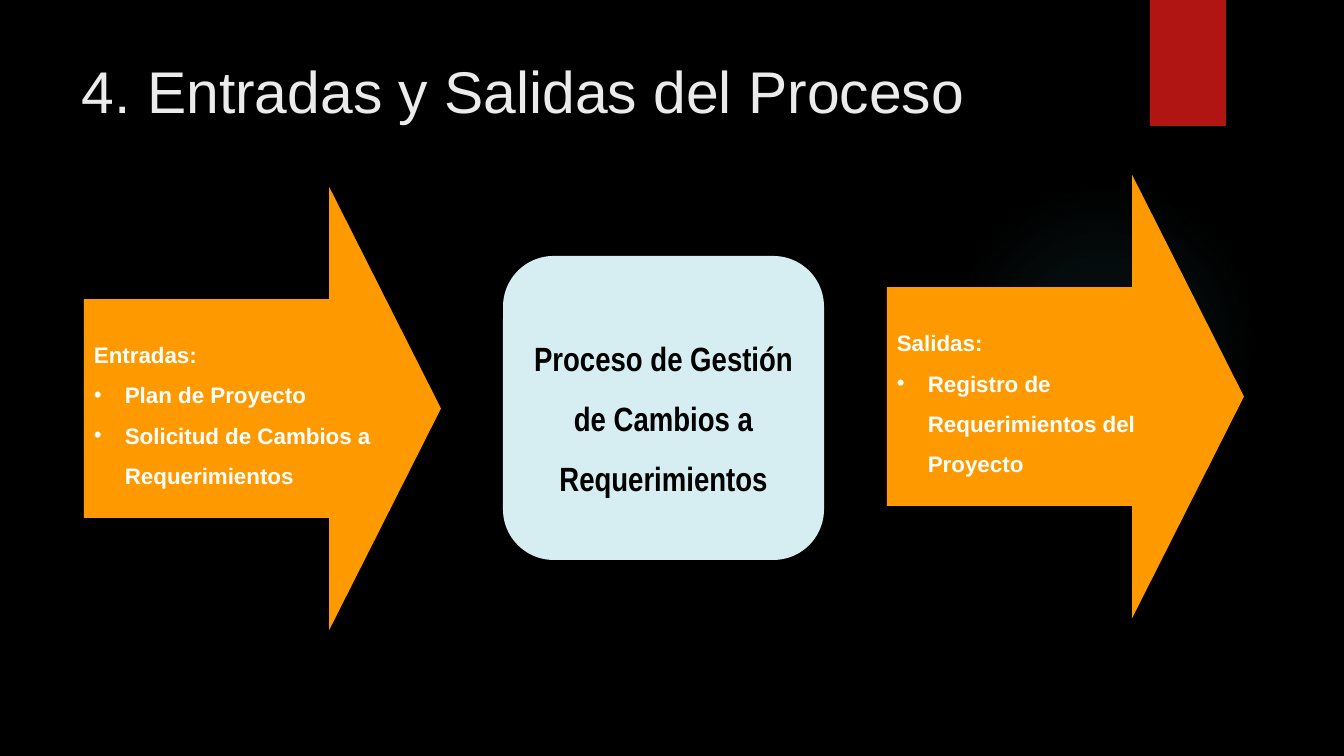
from dataclasses import dataclass

from lxml.etree import SubElement
from pptx import Presentation
from pptx.dml.color import RGBColor
from pptx.enum.shapes import MSO_SHAPE
from pptx.enum.text import MSO_ANCHOR, PP_ALIGN
from pptx.oxml import parse_xml
from pptx.oxml.ns import nsdecls, qn
from pptx.shapes.autoshape import Shape
from pptx.slide import Slide
from pptx.text.text import _Paragraph
from pptx.util import Emu, Pt

BLACK = RGBColor(0x00, 0x00, 0x00)
WHITE = RGBColor(0xFF, 0xFF, 0xFF)
TITLE_GRAY = RGBColor(0xEB, 0xEB, 0xEB)
RED = RGBColor(0xB0, 0x15, 0x13)
ORANGE = RGBColor(0xFF, 0x99, 0x00)
PALE_BLUE = RGBColor(0xD6, 0xEE, 0xF2)
GLOW = RGBColor(0x50, 0xB9, 0xC1)

GLOW_STOPS = ((0, 7), (36, 6), (69, 0))
BULLET_INDENT = 31


@dataclass(frozen=True)
class Box:
    left: int
    top: int
    width: int
    height: int


@dataclass(frozen=True)
class FlowArrow:
    box: Box
    heading: str
    items: tuple[str, ...]


ARROWS = (
    FlowArrow(Box(84, 187, 357, 443), "Entradas:",
              ("Plan de Proyecto", "Solicitud de Cambios a Requerimientos")),
    FlowArrow(Box(887, 175, 357, 443), "Salidas:",
              ("Registro de Requerimientos del Proyecto",)),
)


def px(n: int) -> Emu:
    return Emu(round(n * 914400 / 100.8))


def place(box: Box) -> tuple[Emu, Emu, Emu, Emu]:
    return px(box.left), px(box.top), px(box.width), px(box.height)


def add_block(s: Slide, kind: MSO_SHAPE, box: Box, color: RGBColor) -> Shape:
    sp = s.shapes.add_shape(kind, *place(box))
    sp.shadow.inherit = False
    sp.fill.solid()
    sp.fill.fore_color.rgb = color
    sp.line.fill.background()
    sp.text_frame.word_wrap = True
    sp.text_frame.vertical_anchor = MSO_ANCHOR.MIDDLE
    return sp


def format_text(p: _Paragraph, size: int, color: RGBColor, name: str = "Arial",
                bold: bool = False, align: PP_ALIGN = PP_ALIGN.LEFT,
                spacing: float = 1.0) -> None:
    p.alignment = align
    p.line_spacing = spacing
    for r in p.runs:
        r.font.name = name
        r.font.size = Pt(size)
        r.font.bold = bold
        r.font.color.rgb = color


def add_bullet(p: _Paragraph) -> None:
    pPr = p._p.get_or_add_pPr()
    pPr.set("marL", str(px(BULLET_INDENT)))
    pPr.set("indent", str(-px(BULLET_INDENT)))
    SubElement(pPr, qn("a:buFont"), typeface="Arial")
    SubElement(pPr, qn("a:buChar"), char="•")


def add_glow(s: Slide, box: Box) -> None:
    sp = add_block(s, MSO_SHAPE.OVAL, box, GLOW)
    stops = "".join(
        f'<a:gs pos="{pos * 1000}"><a:srgbClr val="{GLOW}">'
        f'<a:alpha val="{alpha * 1000}"/></a:srgbClr></a:gs>'
        for pos, alpha in GLOW_STOPS)
    grad = parse_xml(
        f'<a:gradFill {nsdecls("a")}><a:gsLst>{stops}</a:gsLst><a:path path="circle">'
        '<a:fillToRect l="50000" t="50000" r="50000" b="50000"/></a:path></a:gradFill>')
    spPr = sp.element.spPr
    spPr.replace(spPr.find(qn("a:solidFill")), grad)


def add_title(s: Slide, box: Box, text: str) -> None:
    tf = s.shapes.add_textbox(*place(box)).text_frame
    tf.word_wrap = True
    tf.text = text
    format_text(tf.paragraphs[0], 42, TITLE_GRAY)


def add_arrow(s: Slide, arrow: FlowArrow) -> None:
    sp = add_block(s, MSO_SHAPE.RIGHT_ARROW, arrow.box, ORANGE)
    sp.adjustments[0] = 0.494
    sp.adjustments[1] = 0.313
    tf = sp.text_frame
    tf.text = "\n".join((arrow.heading, *arrow.items))
    for p in tf.paragraphs:
        format_text(p, 16, WHITE, bold=True, spacing=1.5)
    for p in tf.paragraphs[1:]:
        add_bullet(p)


def add_process(s: Slide, box: Box, text: str) -> None:
    tf = add_block(s, MSO_SHAPE.ROUNDED_RECTANGLE, box, PALE_BLUE).text_frame
    tf.text = text
    format_text(tf.paragraphs[0], 24, BLACK, "Arial Narrow", True, PP_ALIGN.CENTER, 1.5)


def main() -> None:
    prs = Presentation()
    prs.slide_width, prs.slide_height = px(1344), px(756)
    s = prs.slides.add_slide(prs.slide_layouts[6])
    s.background.fill.solid()
    s.background.fill.fore_color.rgb = BLACK
    add_glow(s, Box(949, 184, 310, 310))
    add_block(s, MSO_SHAPE.RECTANGLE, Box(1150, 0, 76, 126), RED)
    add_title(s, Box(72, 50, 1037, 154), "4. Entradas y Salidas del Proceso")
    for arrow in ARROWS:
        add_arrow(s, arrow)
    add_process(s, Box(503, 256, 321, 304),
                "Proceso de Gestión de Cambios a Requerimientos")
    prs.save("out.pptx")


if __name__ == "__main__":
    main()
